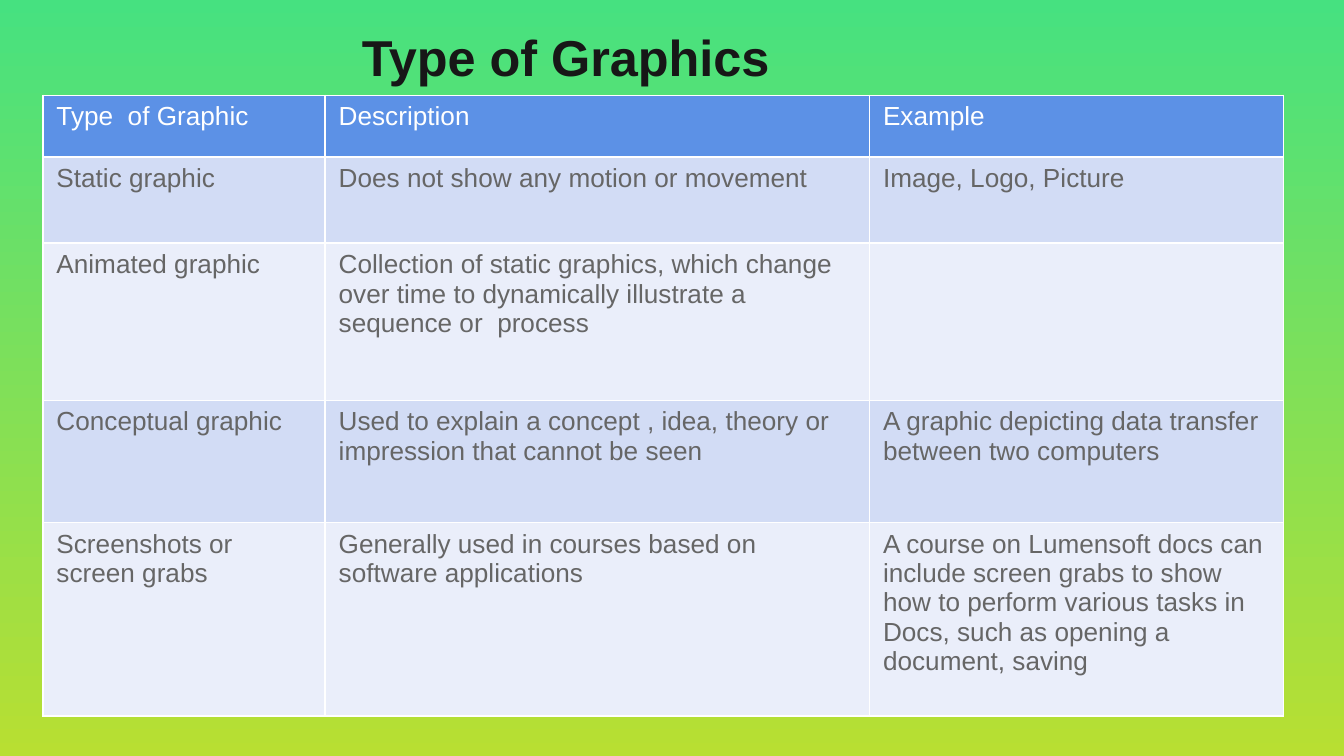
from lxml import etree
from pptx import Presentation
from pptx.dml.color import RGBColor
from pptx.enum import text as t
from pptx.oxml.ns import qn
from pptx.util import Inches, Pt

TITLE = "Type of Graphics"
ROWS = [
    ("Type  of Graphic", "Description", "Example"),
    ("Static graphic", "Does not show any motion or movement",
     "Image, Logo, Picture"),
    ("Animated graphic",
     "Collection of static graphics, which change over time to "
     "dynamically illustrate a sequence or  process", ""),
    ("Conceptual graphic",
     "Used to explain a concept , idea, theory or impression that cannot be seen",
     "A graphic depicting data transfer between two computers"),
    ("Screenshots or screen grabs",
     "Generally used in courses based on software applications",
     "A course on Lumensoft docs can include screen grabs to show how to "
     "perform various tasks in Docs, such as opening a document, saving"),
]
WIDTHS = [2.1, 4.05, 3.08]
HEIGHTS = [0.46, 0.64, 1.17, 0.91, 1.44]
SKY = ["46E180", "B8DF32"]
HEAD = "5C91E6"
BANDS = ["D2DCF5", "EAEEFA"]
WHITE, GRAY, INK = "FFFFFF", "666666", "171717"
BIG = {"name": "Arial", "size": Pt(27), "bold": True}
BODY = {"name": "Arial", "size": Pt(14), "bold": False}


def color(code):
    return RGBColor.from_string(code)


def write(frame, words, form, code):
    par = frame.paragraphs[0]
    run = par.add_run()
    run.text = words
    for key, value in form.items():
        setattr(run.font, key, value)
    run.font.color.rgb = color(code)
    return par


def edge(cell, side):
    props = cell._tc.get_or_add_tcPr()
    line = etree.SubElement(props, qn("a:ln" + side), w=str(Pt(1)))
    fill = etree.SubElement(line, qn("a:solidFill"))
    etree.SubElement(fill, qn("a:srgbClr"), val=WHITE)


deck = Presentation()
deck.slide_width = Inches(10)
deck.slide_height = deck.slide_width * 9 // 16
slide = deck.slides.add_slide(deck.slide_layouts[6])

back = slide.background.fill
back.gradient()
back.gradient_angle = 270
for stop, code in zip(back.gradient_stops, SKY):
    stop.color.rgb = color(code)

box = slide.shapes.add_textbox(Inches(0.68), Inches(0.14), Inches(7.06), Inches(0.56))
frame = box.text_frame
frame.word_wrap = True
frame.vertical_anchor = t.MSO_ANCHOR.MIDDLE
write(frame, TITLE, BIG, INK).alignment = t.PP_ALIGN.CENTER

table = slide.shapes.add_table(
    len(ROWS), len(WIDTHS), Inches(0.32), Inches(0.71),
    Inches(sum(WIDTHS)), Inches(sum(HEIGHTS))).table
for col, width in zip(table.columns, WIDTHS):
    col.width = Inches(width)
for row, height in zip(table.rows, HEIGHTS):
    row.height = Inches(height)

for r, row in enumerate(ROWS):
    for c, words in enumerate(row):
        cell = table.cell(r, c)
        for side in "LRTB":
            edge(cell, side)
        cell.fill.solid()
        cell.fill.fore_color.rgb = color(BANDS[(r - 1) % 2] if r else HEAD)
        if words:
            write(cell.text_frame, words, BODY, GRAY if r else WHITE)

deck.save("out.pptx")
